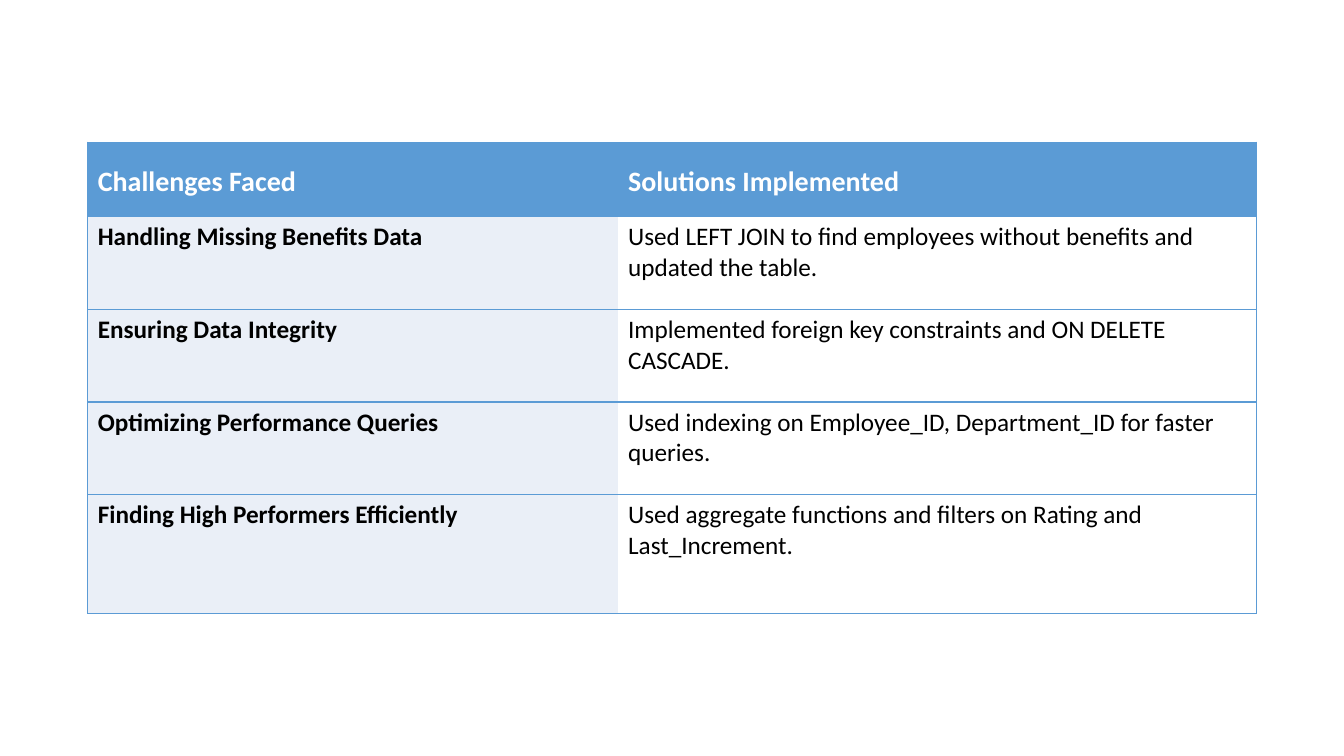
from lxml.etree import SubElement
from pptx import Presentation
from pptx.dml.color import RGBColor
from pptx.oxml.ns import qn
from pptx.util import Inches, Pt

BLUE, PALE, WHITE, BLACK = "5B9BD5", "EAEFF7", "FFFFFF", "000000"
COLUMN_WIDTHS = [5.26, 6.33]
ROW_HEIGHTS = [0.74, 0.92, 0.92, 0.92, 1.18]
ROWS = [
    ("Challenges Faced", "Solutions Implemented"),
    ("Handling Missing Benefits Data",
     "Used LEFT JOIN to find employees without benefits and updated the table."),
    ("Ensuring Data Integrity",
     "Implemented foreign key constraints and ON DELETE CASCADE."),
    ("Optimizing Performance Queries",
     "Used indexing on Employee_ID, Department_ID for faster queries."),
    ("Finding High Performers Efficiently",
     "Used aggregate functions and filters on Rating and Last_Increment."),
]


def color(value):
    """Turn a hex string into a colour."""
    return RGBColor.from_string(value)


def set_borders(cell, hidden_side):
    """Draw blue borders on every side but the hidden one."""
    properties = cell._tc.get_or_add_tcPr()
    for side in "LRTB":
        line = SubElement(properties, qn(f"a:ln{side}"), w=str(Pt(1)))
        if side == hidden_side:
            SubElement(line, qn("a:noFill"))
        else:
            fill = SubElement(line, qn("a:solidFill"))
            SubElement(fill, qn("a:srgbClr"), val=BLUE)


def fill_cell(cell, text, is_header, is_first):
    """Write and format one table cell."""
    set_borders(cell, "R" if is_first else "L")
    cell.fill.solid()
    cell.fill.fore_color.rgb = color(
        BLUE if is_header else PALE if is_first else WHITE)
    cell.text_frame.text = text
    para = cell.text_frame.paragraphs[0]
    if is_header:
        para.line_spacing = 1.5
        para.space_after = Pt(8)
    font = para.runs[0].font
    font.name = "Calibri"
    font.size = Pt(20 if is_header else 18)
    font.bold = is_header or is_first
    font.color.rgb = color(WHITE if is_header else BLACK)


def add_challenges_table(slide):
    """Add the table of challenges and their solutions."""
    table = slide.shapes.add_table(
        len(ROWS), len(COLUMN_WIDTHS), Inches(0.87), Inches(1.41),
        Inches(sum(COLUMN_WIDTHS)), Inches(sum(ROW_HEIGHTS))).table
    for column, width in zip(table.columns, COLUMN_WIDTHS):
        column.width = Inches(width)
    for row, height in zip(table.rows, ROW_HEIGHTS):
        row.height = Inches(height)
    for i, texts in enumerate(ROWS):
        for j, text in enumerate(texts):
            fill_cell(table.cell(i, j), text, i == 0, j == 0)


def main():
    """Build and save the slide."""
    deck = Presentation()
    deck.slide_width, deck.slide_height = Inches(13.33), Inches(7.5)
    slide = deck.slides.add_slide(deck.slide_layouts[6])
    add_challenges_table(slide)
    deck.save("out.pptx")


if __name__ == "__main__":
    main()
